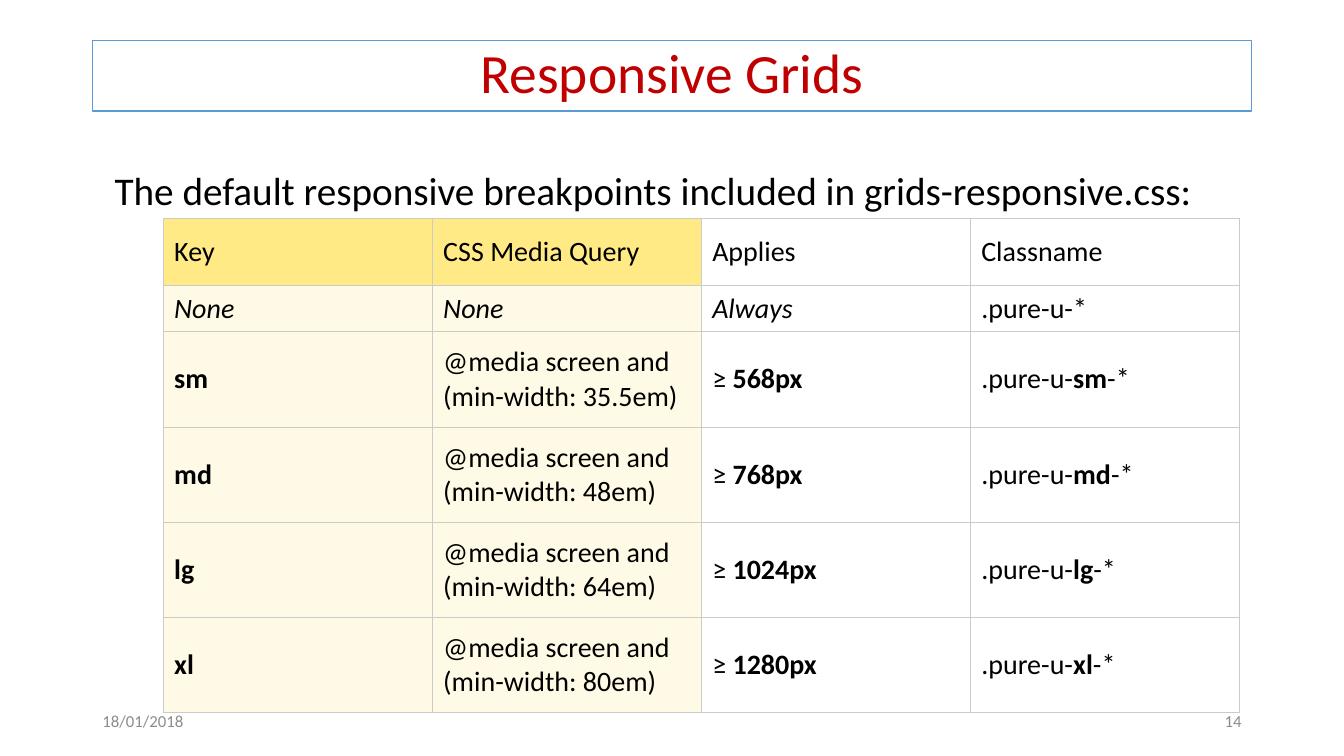
"""Builds the slide on the default breakpoints of responsive grids."""
from dataclasses import dataclass

from lxml import etree
from pptx import Presentation, util as u
from pptx.dml.color import RGBColor
from pptx.enum import shapes, text
from pptx.oxml.ns import qn

TITLE = "Responsive Grids"
INTRO = "The default responsive breakpoints included in grids-responsive.css:"
DATE = "18/01/2018"
PAGE = "14"
HEADINGS = ["Key", "CSS Media Query", "Applies", "Classname"]
BREAKPOINTS = [
    ("sm", "35.5em", "568px"),
    ("md", "48em", "768px"),
    ("lg", "64em", "1024px"),
    ("xl", "80em", "1280px"),
]


@dataclass(frozen=True)
class Theme:
    font: str = "Calibri"
    title: str = "C00000"
    frame: str = "5B9BD5"
    ink: str = "000000"
    muted: str = "8C8C8C"
    paper: str = "FFFFFF"
    heading: str = "FFEA85"
    tint: str = "FFFAE5"
    grid: str = "CBCBCB"
    title_size: float = 39.6
    intro_size: float = 28
    table_size: float = 20
    footer_size: float = 12


THEME = Theme()
LEFT, ALIGN_RIGHT, CENTER = text.PP_ALIGN.LEFT, text.PP_ALIGN.RIGHT, text.PP_ALIGN.CENTER
MIDDLE = text.MSO_ANCHOR.MIDDLE
MARGIN, CONTENT_WIDTH = 2.33, 29.21
FOOTER_TOP, FOOTER_WIDTH, FOOTER_HEIGHT = 17.65, 7.62, 1.02
TABLE_LEFT, TABLE_TOP, COLUMN_WIDTH = 4.11, 5.51, 6.78
ROW_HEIGHTS = [1.68, 1.17] + [2.4] * len(BREAKPOINTS)
TINTED_COLUMNS = 2


def rgb(code):
    return RGBColor.from_string(code)


def style(paragraph, size, color, align=LEFT):
    paragraph.alignment = align
    font = paragraph.font
    font.name, font.size = THEME.font, u.Pt(size)
    font.color.rgb = rgb(color)


def add_text(slide, words, box, size, color, align=LEFT, wrap=True):
    frame = slide.shapes.add_textbox(*map(u.Cm, box)).text_frame
    frame.word_wrap = wrap
    frame.text = words
    style(frame.paragraphs[0], size, color, align)
    return frame


def add_title(slide):
    banner = slide.shapes.add_shape(
        shapes.MSO_SHAPE.RECTANGLE, u.Cm(MARGIN), u.Cm(1.02), u.Cm(CONTENT_WIDTH), u.Cm(1.78))
    banner.shadow.inherit = False
    banner.fill.solid()
    banner.fill.fore_color.rgb = rgb(THEME.paper)
    banner.line.color.rgb = rgb(THEME.frame)
    banner.line.width = u.Pt(1)
    banner.text_frame.text = TITLE
    banner.text_frame.vertical_anchor = MIDDLE
    heading = banner.text_frame.paragraphs[0]
    style(heading, THEME.title_size, THEME.title, CENTER)
    heading.line_spacing = 0.9


def table_rows():
    rows = [[[(heading, "")] for heading in HEADINGS]]
    rows.append([[("None", "i")], [("None", "i")], [("Always", "i")], [(".pure-u-*", "")]])
    for key, width, pixels in BREAKPOINTS:
        rows.append([
            [(key, "b")],
            [(f"@media screen and (min-width: {width})", "")],
            [("≥ ", ""), (pixels, "b")],
            [(".pure-u-", ""), (key, "b"), ("-*", "")],
        ])
    return rows


def add_borders(cell):
    properties = cell._tc.get_or_add_tcPr()
    for place, side in enumerate(("a:lnL", "a:lnR", "a:lnT", "a:lnB")):
        border = etree.Element(qn(side), w=str(u.Pt(0.75)))
        fill = etree.SubElement(border, qn("a:solidFill"))
        etree.SubElement(fill, qn("a:srgbClr"), val=THEME.grid)
        properties.insert(place, border)


def fill_cell(cell, runs, fill):
    cell.vertical_anchor = MIDDLE
    cell.margin_left = cell.margin_right = u.Cm(0.28)
    cell.margin_top = cell.margin_bottom = u.Cm(0.15)
    if fill:
        cell.fill.solid()
        cell.fill.fore_color.rgb = rgb(fill)
    else:
        cell.fill.background()
    paragraph = cell.text_frame.paragraphs[0]
    style(paragraph, THEME.table_size, THEME.ink)
    for words, emphasis in runs:
        run = paragraph.add_run()
        run.text = words
        run.font.bold = emphasis == "b"
        run.font.italic = emphasis == "i"
    add_borders(cell)


def add_breakpoints(slide):
    rows = table_rows()
    table = slide.shapes.add_table(
        len(rows), len(HEADINGS), u.Cm(TABLE_LEFT), u.Cm(TABLE_TOP),
        u.Cm(COLUMN_WIDTH * len(HEADINGS)), u.Cm(sum(ROW_HEIGHTS))).table
    table.first_row = table.horz_banding = False
    for column in table.columns:
        column.width = u.Cm(COLUMN_WIDTH)
    for r, (cells, height) in enumerate(zip(rows, ROW_HEIGHTS)):
        table.rows[r].height = u.Cm(height)
        row_fill = THEME.tint if r else THEME.heading
        for c, runs in enumerate(cells):
            fill_cell(table.cell(r, c), runs, row_fill if c < TINTED_COLUMNS else None)


def main():
    deck = Presentation()
    deck.slide_width, deck.slide_height = u.Cm(33.87), u.Cm(19.05)
    slide = deck.slides.add_slide(deck.slide_layouts[6])
    add_title(slide)
    add_breakpoints(slide)
    add_text(slide, INTRO, (2.64, 4.06, 27.81, 1.45), THEME.intro_size, THEME.ink, wrap=False)
    page_left = MARGIN + CONTENT_WIDTH - FOOTER_WIDTH
    for words, left, align in ((DATE, MARGIN, LEFT), (PAGE, page_left, ALIGN_RIGHT)):
        footer = add_text(slide, words, (left, FOOTER_TOP, FOOTER_WIDTH, FOOTER_HEIGHT),
                          THEME.footer_size, THEME.muted, align)
        footer.vertical_anchor = MIDDLE
    deck.save("out.pptx")


if __name__ == "__main__":
    main()
